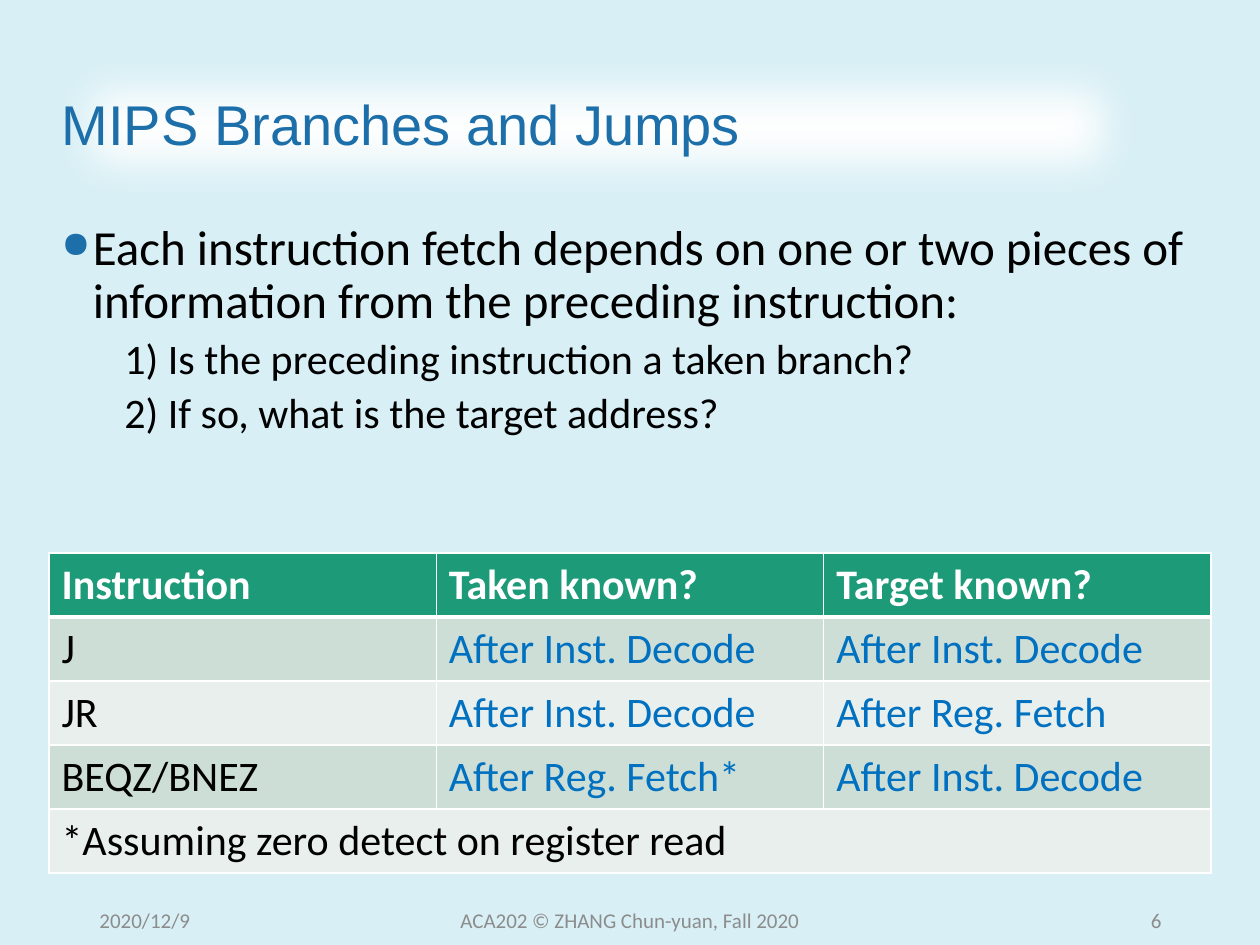
from lxml.etree import SubElement
from pptx import Presentation
from pptx.dml.color import RGBColor
from pptx.enum.text import MSO_ANCHOR as Anchor, MSO_AUTO_SIZE as AutoSize, PP_ALIGN as Align
from pptx.oxml import parse_xml
from pptx.oxml.ns import nsdecls, qn
from pptx.util import Inches, Pt

PX = Inches(1) / 126
COLORS = {
    "background": "D7EFF5", "white": "FFFFFF", "black": "000000",
    "title": "1D6FA9", "header": "1D9A78", "band": "CDDED6",
    "light band": "E8EFEC", "answer": "0070C0", "footer": "8C8C8C",
}


def px(*lengths):
    return [round(length * PX) for length in lengths]


def write(para, text, size, color="black", font="Calibri", bold=False,
          align=Align.LEFT, spacing=None, before=0):
    para.alignment = align
    para.space_before = Pt(before)
    if spacing:
        para.line_spacing = spacing
    span = para.add_run()
    span.text = text
    span.font.size = Pt(size)
    span.font.name = font
    span.font.bold = bold
    span.font.color.rgb = RGBColor.from_string(COLORS[color])


deck = Presentation()
deck.slide_width, deck.slide_height = px(1260, 945)
page = deck.slides.add_slide(deck.slide_layouts[5])
page.background.fill.solid()
page.background.fill.fore_color.rgb = RGBColor.from_string(COLORS["background"])

# Title on a white panel with soft edges
title = page.shapes.title
title.left, title.top, title.width, title.height = px(49, 50, 1095, 155)
title.fill.solid()
title.fill.fore_color.rgb = RGBColor.from_string(COLORS["white"])
effects = SubElement(title._element.spPr, qn("a:effectLst"))
SubElement(effects, qn("a:softEdge"), rad=str(Pt(25)))
title.text_frame.auto_size = AutoSize.NONE
title.text_frame.vertical_anchor = Anchor.MIDDLE
write(title.text_frame.paragraphs[0], "MIPS Branches and Jumps", 32,
      color="title", font="Arial", spacing=0.9)

# Bullet and its two questions
body = page.shapes.add_textbox(*px(49, 217, 1162, 325)).text_frame
body.word_wrap = True
bullet = body.paragraphs[0]
write(bullet, "Each instruction fetch depends on one or two pieces of information "
      "from the preceding instruction:", 28, spacing=0.9, before=10)
bullet_props = bullet._p.get_or_add_pPr()
bullet_props.set("marL", str(Inches(0.25)))
bullet_props.set("indent", str(Inches(-0.25)))
bullet_color = SubElement(bullet_props, qn("a:buClr"))
SubElement(bullet_color, qn("a:srgbClr"), val=COLORS["title"])
SubElement(bullet_props, qn("a:buSzPct"), val="75000")
SubElement(bullet_props, qn("a:buChar"), char="●")
for question in ("1) Is the preceding instruction a taken branch?",
                 "2) If so, what is the target address?"):
    para = body.add_paragraph()
    para.level = 1
    write(para, question, 24, spacing=0.9, before=5)
    para._p.get_or_add_pPr().set("marL", str(Inches(0.5)))

# Table of when each branch outcome is known
ROWS = [
    ("Instruction", "Taken known?", "Target known?"),
    ("J", "After Inst. Decode", "After Inst. Decode"),
    ("JR", "After Inst. Decode", "After Reg. Fetch"),
    ("BEQZ/BNEZ", "After Reg. Fetch*", "After Inst. Decode"),
    ("*Assuming zero detect on register read", "", ""),
]
table = page.shapes.add_table(len(ROWS), 3, *px(49, 553, 1162, 320)).table
table.horz_banding = False
for row, texts in enumerate(ROWS):
    for column, text in enumerate(texts):
        cell = table.cell(row, column)
        fill = "header" if row == 0 else "band" if row % 2 else "light band"
        cell.fill.solid()
        cell.fill.fore_color.rgb = RGBColor.from_string(COLORS[fill])
        thick_side = {0: "B", 1: "T"}.get(row)
        for index, side in enumerate("LRTB"):
            width = Pt(3 if side == thick_side else 1)
            cell._tc.get_or_add_tcPr().insert(index, parse_xml(
                f'<a:ln{side} {nsdecls("a")} w="{width}"><a:solidFill>'
                f'<a:srgbClr val="{COLORS["white"]}"/></a:solidFill></a:ln{side}>'))
        if text:
            color = "white" if row == 0 else "answer" if column else "black"
            write(cell.text_frame.paragraphs[0], text, 24, color=color, bold=row == 0)
table.cell(4, 0).merge(table.cell(4, 2))

# Footer line
for left, width, text, align in (
        (87, 284, "2020/12/9", Align.LEFT),
        (417, 426, "ACA202 © ZHANG Chun-yuan, Fall 2020", Align.CENTER),
        (890, 284, "6", Align.RIGHT)):
    footer = page.shapes.add_textbox(*px(left, 895, width, 50)).text_frame
    footer.word_wrap = True
    footer.vertical_anchor = Anchor.MIDDLE
    write(footer.paragraphs[0], text, 12, color="footer", align=align)

deck.save("out.pptx")
